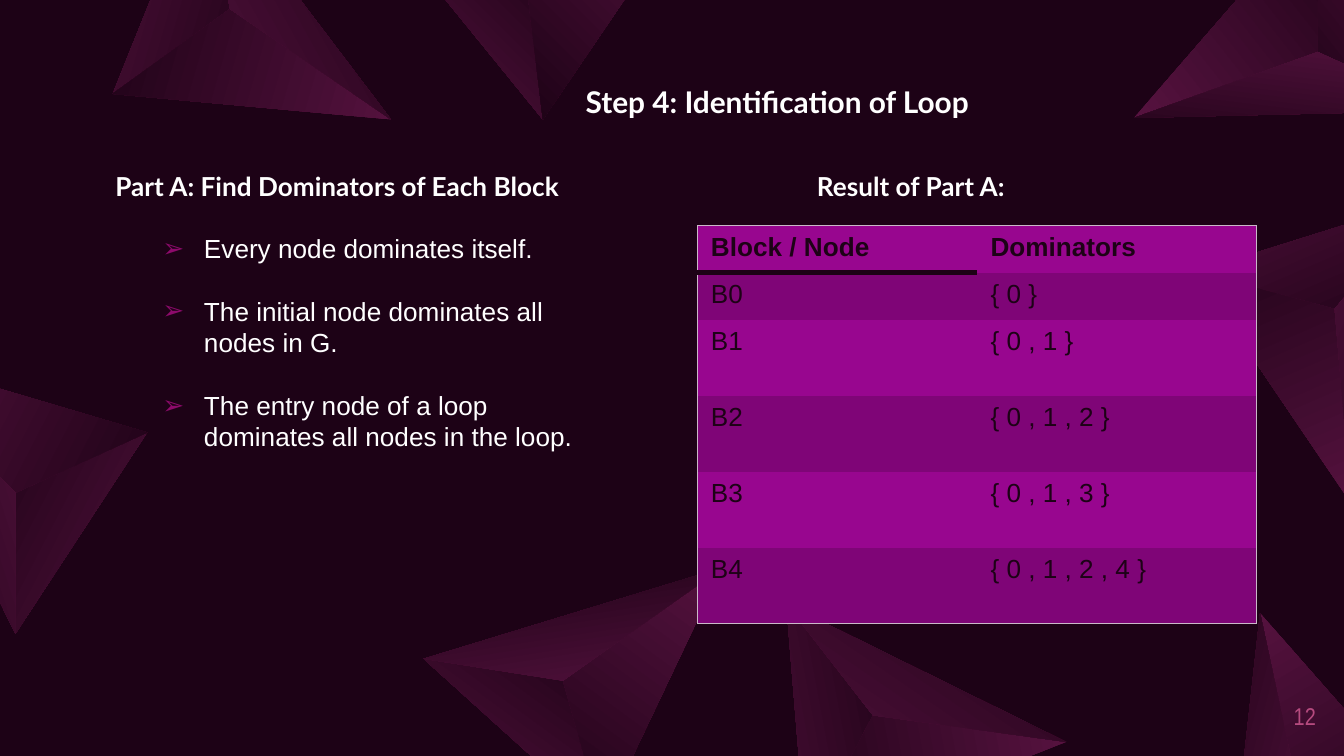
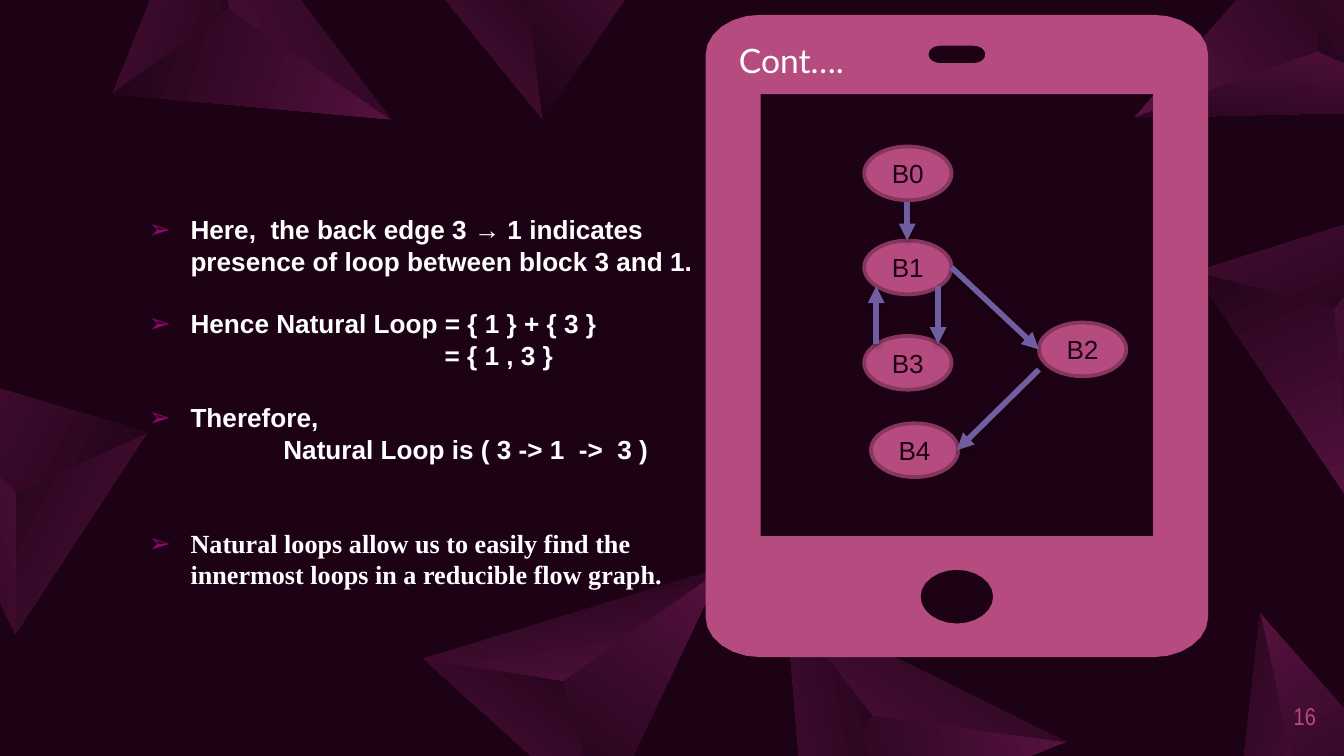
import math
from dataclasses import dataclass
from typing import Any, NamedTuple

import lxml.etree
import pptx
import pptx.dml.color
import pptx.enum.shapes
import pptx.enum.text
import pptx.oxml.ns
import pptx.util

PX = 9144
SLIDE_WIDTH = 1000 * PX
SLIDE_HEIGHT = SLIDE_WIDTH * 9 // 16
OUTLINE_DETAIL = 10
BODY_FONT = "Arial"
HEADING_FONT = "Lato"
LINE_PITCH = 16.8
HANGING = 31
NO_TABLE_STYLE = "{2D5ABB26-0587-4C30-8999-92F81FD0307C}"
COLORS = {
    "night": "1D0216",
    "facet": "591341",
    "pink": "B64B7F",
    "rim": "87375E",
    "bullet": "8D0A6B",
    "edge": "705FA0",
    "row_light": "98068F",
    "row_dark": "7F0577",
    "border": "CBB8C9",
    "white": "FFFFFF",
    "black": "000000",
}


class Box(NamedTuple):
    left: int
    top: int
    width: int
    height: int


class Facet(NamedTuple):
    corners: tuple[tuple[int, int], ...]
    angle: int


class Cluster(NamedTuple):
    x: int
    y: int
    rotation: float
    facets: str


class Edge(NamedTuple):
    x1: int
    y1: int
    x2: int
    y2: int


@dataclass(frozen=True)
class Style:
    size: int
    font: str = BODY_FONT
    color: str = "white"
    bold: bool = False


@dataclass(frozen=True)
class Point:
    text: str
    gap_lines: int = 0
    indent: int = HANGING
    bulleted: bool = True
    font: str = BODY_FONT


CLUSTER_SIZE = (230, 172)
FACETS = {
    "L": Facet(((0, 33), (113, 172), (100, 65)), 45),
    "R": Facet(((113, 172), (230, 0), (100, 65)), 225),
    "T": Facet(((0, 33), (100, 65), (230, 0)), 90),
}
CLUSTERS = [
    Cluster(992, 589, 284.5, "RT"),
    Cluster(406, 3, 0, "LR"),
    Cluster(968, 16, 186.8, "LRT"),
    Cluster(968, 236, 111.7, "LRT"),
    Cluster(437, 525, 351.2, "LRT"),
    Cluster(27, 346, 252.3, "LRT"),
    Cluster(160, 30, 61, "LRT"),
    Cluster(650, 558, 34.4, "LRT"),
]
TITLE = Style(16, HEADING_FONT, bold=True)
SUBTITLE = Style(14, HEADING_FONT, bold=True)
CONT_TITLE = Style(18, HEADING_FONT)
PAGE_NUMBER = Style(13, "Arial Narrow", "pink")

DOMINATOR_RULES = [
    Point("Every node dominates itself."),
    Point("The initial node dominates all nodes in G.", 1),
    Point("The entry node of a loop dominates all nodes in the loop.", 1),
]
DOMINATORS = [
    ("Block / Node", "Dominators"),
    ("B0", "{ 0 }"),
    ("B1", "{ 0 , 1 }"),
    ("B2", "{ 0 , 1 , 2 }"),
    ("B3", "{ 0 , 1 , 3 }"),
    ("B4", "{ 0 , 1 , 2 , 4 }"),
]
ROW_HEIGHTS = [35, 35, 57, 56, 57, 56]
LOOP_FINDINGS = [
    Point("Here,  the back edge 3 → 1 indicates presence of loop between block 3 and 1."),
    Point("Hence Natural Loop = { 1 } + { 3 }", 1),
    Point("= { 1 , 3 }", indent=220, bulleted=False),
    Point("Therefore,", 1),
    Point("Natural Loop is ( 3 -> 1  ->  3 )", indent=100, bulleted=False),
    Point("Natural loops allow us to easily find the innermost loops in a reducible flow graph.",
          2, font="Times New Roman"),
]
BLOCKS = {"B0": (643, 109), "B1": (643, 179), "B3": (643, 250), "B4": (648, 315), "B2": (773, 240)}
EDGES = [
    Edge(675, 150, 675, 179),
    Edge(698, 213, 698, 256),
    Edge(652, 256, 652, 213),
    Edge(708, 199, 773, 260),
    Edge(773, 275, 712, 335),
]


def rgb(color: str) -> pptx.dml.color.RGBColor:
    return pptx.dml.color.RGBColor.from_string(COLORS[color])


def emu(box: Box) -> list[int]:
    return [length * PX for length in box]


def child(parent: Any, tag: str, **attributes: Any) -> Any:
    values = {key: str(value) for key, value in attributes.items()}
    return lxml.etree.SubElement(parent, pptx.oxml.ns.qn(tag), values)


def format_runs(paragraph: Any, style: Style) -> None:
    for run in paragraph.runs:
        run.font.size = pptx.util.Pt(style.size)
        run.font.name = style.font
        run.font.bold = style.bold
        run.font.color.rgb = rgb(style.color)


def add_text_frame(slide: Any, box: Box) -> Any:
    frame = slide.shapes.add_textbox(*emu(box)).text_frame
    frame.word_wrap = True
    return frame


def add_label(slide: Any, box: Box, text: str, style: Style) -> Any:
    frame = add_text_frame(slide, box)
    frame.text = text
    format_runs(frame.paragraphs[0], style)
    return frame


def add_points(slide: Any, box: Box, points: list[Point], bold: bool = False) -> None:
    frame = add_text_frame(slide, box)
    for index, point in enumerate(points):
        paragraph = frame.add_paragraph() if index else frame.paragraphs[0]
        paragraph.text = point.text
        paragraph.line_spacing = pptx.util.Pt(LINE_PITCH)
        paragraph.space_before = pptx.util.Pt(LINE_PITCH * point.gap_lines)
        format_runs(paragraph, Style(14, point.font, bold=bold))
        properties = paragraph._p.get_or_add_pPr()
        properties.set("marL", str(point.indent * PX))
        if point.bulleted:
            properties.set("indent", str(-point.indent * PX))
            child(child(properties, "a:buClr"), "a:srgbClr", val=COLORS["bullet"])
            child(properties, "a:buFont", typeface=BODY_FONT)
            child(properties, "a:buChar", char="➢")


def draw_contours(slide: Any, contours: list[list[tuple[float, float]]]) -> Any:
    fine = [[(x * OUTLINE_DETAIL, y * OUTLINE_DETAIL) for x, y in contour] for contour in contours]
    builder = slide.shapes.build_freeform(*fine[0][0], scale=PX / OUTLINE_DETAIL)
    for index, contour in enumerate(fine):
        if index:
            builder.move_to(*contour[0])
        builder.add_line_segments(contour[1:], close=True)
    outline = builder.convert_to_shape()
    outline.shadow.inherit = False
    outline.line.fill.background()
    return outline


def add_cluster(slide: Any, cluster: Cluster) -> None:
    turn = math.radians(cluster.rotation)
    for key in cluster.facets:
        facet = FACETS[key]
        xs, ys = zip(*facet.corners)
        dx = (min(xs) + max(xs) - CLUSTER_SIZE[0]) / 2
        dy = (min(ys) + max(ys) - CLUSTER_SIZE[1]) / 2
        center_x = cluster.x + dx * math.cos(turn) - dy * math.sin(turn)
        center_y = cluster.y + dx * math.sin(turn) + dy * math.cos(turn)
        shift_x = center_x - (min(xs) + max(xs)) / 2
        shift_y = center_y - (min(ys) + max(ys)) / 2
        triangle = draw_contours(slide, [[(x + shift_x, y + shift_y) for x, y in facet.corners]])
        triangle.rotation = cluster.rotation
        triangle.fill.gradient()
        triangle.fill.gradient_angle = facet.angle
        for stop, color in zip(triangle.fill.gradient_stops, ("facet", "night")):
            stop.color.rgb = rgb(color)


def rounded_contour(box: Box, rx: int = 0, ry: int = 0) -> list[tuple[float, float]]:
    right, bottom = box.left + box.width, box.top + box.height
    centers = [(right - rx, bottom - ry), (box.left + rx, bottom - ry),
               (box.left + rx, box.top + ry), (right - rx, box.top + ry)]
    steps = 6 if rx else 0
    contour = []
    for quarter, (x, y) in enumerate(centers):
        for step in range(steps + 1):
            angle = math.pi / 2 * (quarter + step / max(steps, 1))
            contour.append((x + rx * math.cos(angle), y + ry * math.sin(angle)))
    return contour


def add_phone(slide: Any) -> None:
    speaker = rounded_contour(Box(691, 34, 42, 13), 9, 6)
    screen = rounded_contour(Box(566, 70, 292, 329))
    home_button = rounded_contour(Box(685, 424, 54, 40), 27, 20)
    body = rounded_contour(Box(525, 11, 374, 478), 41, 30)
    phone = draw_contours(slide, [speaker, screen, home_button, body])
    phone.fill.solid()
    phone.fill.fore_color.rgb = rgb("pink")


def add_block(slide: Any, name: str, left: int, top: int) -> None:
    block = slide.shapes.add_shape(pptx.enum.shapes.MSO_SHAPE.OVAL, *emu(Box(left, top, 65, 40)))
    block.shadow.inherit = False
    block.fill.solid()
    block.fill.fore_color.rgb = rgb("pink")
    block.line.color.rgb = rgb("rim")
    block.line.width = pptx.util.Pt(2)
    frame = block.text_frame
    frame.text = name
    frame.vertical_anchor = pptx.enum.text.MSO_ANCHOR.MIDDLE
    frame.paragraphs[0].alignment = pptx.enum.text.PP_ALIGN.CENTER
    format_runs(frame.paragraphs[0], Style(14, color="night"))


def add_edge(slide: Any, edge: Edge) -> None:
    arrow = slide.shapes.add_connector(
        pptx.enum.shapes.MSO_CONNECTOR.STRAIGHT, *[length * PX for length in edge])
    arrow.line.color.rgb = rgb("edge")
    arrow.line.width = pptx.util.Pt(3)
    child(arrow.line._get_or_add_ln(), "a:tailEnd", type="triangle")
    effects = child(arrow._element.spPr, "a:effectLst")
    shadow = child(effects, "a:outerShdw", blurRad=pptx.util.Pt(3.1), dist=pptx.util.Pt(1.8),
                   dir=5400000, rotWithShape=0)
    child(child(shadow, "a:srgbClr", val=COLORS["black"]), "a:alpha", val=35000)


def set_border(cell: Any, side: str, color: str, width: float) -> None:
    line = child(cell._tc.get_or_add_tcPr(), f"a:ln{side}", w=pptx.util.Pt(width))
    child(child(line, "a:solidFill"), "a:srgbClr", val=COLORS[color])


def add_dominator_table(slide: Any, box: Box) -> None:
    last = len(DOMINATORS) - 1
    table = slide.shapes.add_table(len(DOMINATORS), 2, *emu(box)).table
    table._tbl.tblPr.find(pptx.oxml.ns.qn("a:tableStyleId")).text = NO_TABLE_STYLE
    table.horz_banding = False
    for r, (texts, height) in enumerate(zip(DOMINATORS, ROW_HEIGHTS)):
        table.rows[r].height = height * PX
        for c, text in enumerate(texts):
            cell = table.cell(r, c)
            cell.text_frame.text = text
            format_runs(cell.text_frame.paragraphs[0], Style(14, color="night", bold=r == 0))
            set_border(cell, "R" if c else "L", "border", 0.75)
            if r == 0:
                set_border(cell, "T", "border", 0.75)
            if r == 0 and c == 0:
                set_border(cell, "B", "night", 3)
            if r == last:
                set_border(cell, "B", "border", 0.75)
            cell.fill.solid()
            cell.fill.fore_color.rgb = rgb("row_dark" if r % 2 else "row_light")


def add_base_slide(deck: Any, number: int) -> Any:
    slide = deck.slides.add_slide(deck.slide_layouts[6])
    slide.background.fill.solid()
    slide.background.fill.fore_color.rgb = rgb("night")
    for cluster in CLUSTERS:
        add_cluster(slide, cluster)
    frame = add_label(slide, Box(935, 511, 44, 43), str(number), PAGE_NUMBER)
    frame.margin_left = frame.margin_right = frame.margin_top = frame.margin_bottom = 0
    frame.vertical_anchor = pptx.enum.text.MSO_ANCHOR.MIDDLE
    frame.paragraphs[0].alignment = pptx.enum.text.PP_ALIGN.RIGHT
    return slide


def main() -> None:
    deck = pptx.Presentation()
    deck.slide_width, deck.slide_height = SLIDE_WIDTH, SLIDE_HEIGHT

    dominators = add_base_slide(deck, 12)
    add_label(dominators, Box(426, 57, 407, 37), "Step 4: Identification of Loop", TITLE)
    add_label(dominators, Box(76, 122, 483, 34), "Part A: Find Dominators of Each Block", SUBTITLE)
    add_label(dominators, Box(598, 122, 243, 34), "Result of Part A:", SUBTITLE)
    add_points(dominators, Box(111, 168, 330, 175), DOMINATOR_RULES)
    add_dominator_table(dominators, Box(519, 168, 416, 296))

    natural_loop = add_base_slide(deck, 16)
    add_phone(natural_loop)
    add_points(natural_loop, Box(101, 154, 450, 293), LOOP_FINDINGS, bold=True)
    add_label(natural_loop, Box(540, 25, 247, 40), "Cont….", CONT_TITLE)
    for name, (left, top) in BLOCKS.items():
        add_block(natural_loop, name, left, top)
    for edge in EDGES:
        add_edge(natural_loop, edge)

    deck.save("out.pptx")


if __name__ == "__main__":
    main()
